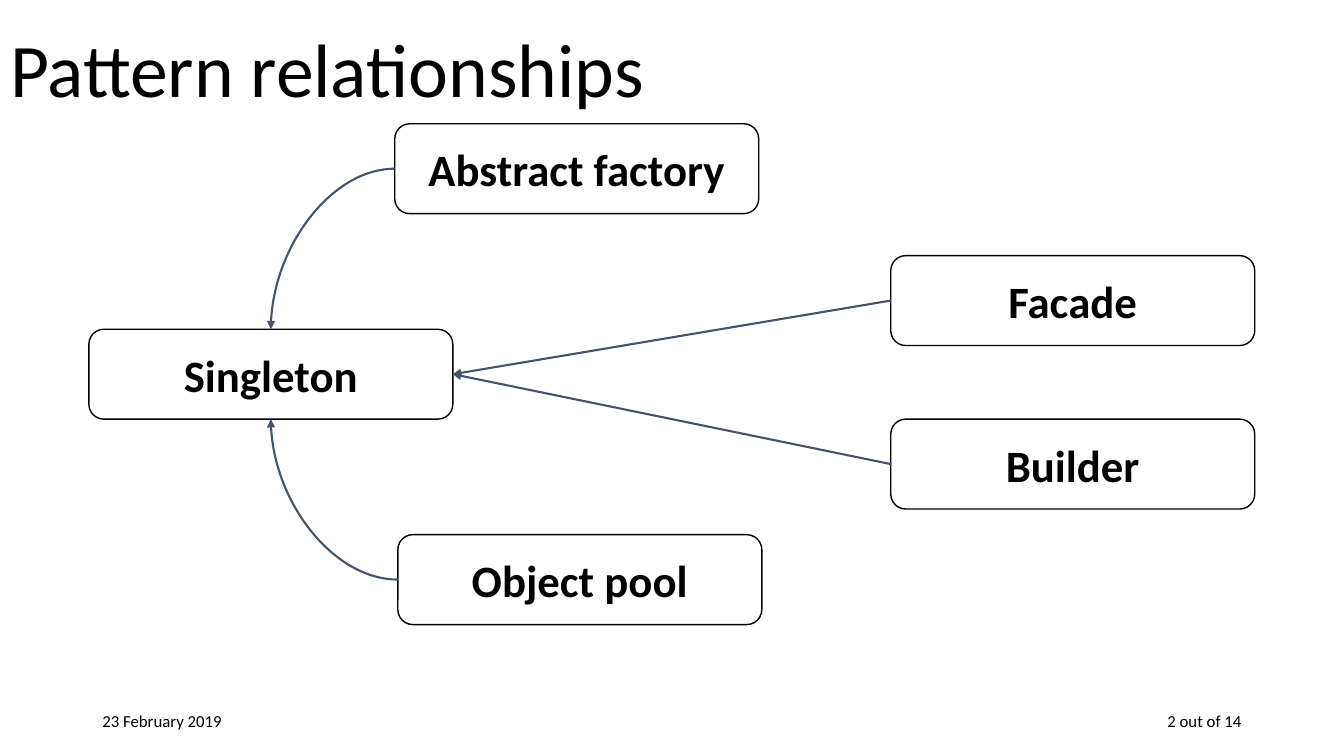
"""Build the slide that shows which patterns relate to Singleton."""
from dataclasses import dataclass

from lxml import etree
from pptx import Presentation
from pptx.dml.color import RGBColor
from pptx.enum.shapes import MSO_CONNECTOR, MSO_SHAPE
from pptx.enum.text import MSO_ANCHOR, MSO_AUTO_SIZE, PP_ALIGN
from pptx.oxml.ns import qn
from pptx.util import Pt

ROUNDED = MSO_SHAPE.ROUNDED_RECTANGLE
STRAIGHT, CURVE = MSO_CONNECTOR.STRAIGHT, MSO_CONNECTOR.CURVE
LEFT, CENTER, RIGHT = PP_ALIGN.LEFT, PP_ALIGN.CENTER, PP_ALIGN.RIGHT
MIDDLE = MSO_ANCHOR.MIDDLE
NO_FIT = MSO_AUTO_SIZE.NONE
TOP_SITE, LEFT_SITE, BOTTOM_SITE, RIGHT_SITE = range(4)


@dataclass(frozen=True)
class Theme:
    """Colours, type sizes and line widths."""
    font: str = "Calibri"
    ink: RGBColor = RGBColor(0, 0, 0)
    paper: RGBColor = RGBColor(255, 255, 255)
    arrow: RGBColor = RGBColor(0x44, 0x54, 0x6A)
    title: int = 54
    label: int = 32
    footer: int = 12
    box_line: float = 1
    arrow_line: float = 1.5


class SlideBuilder:
    """Add styled elements to one slide."""

    def __init__(self, s, theme):
        self.s = s
        self.theme = theme

    def set_text(self, sp, text, size, align, bold=False):
        tf = sp.text_frame
        frame = {"word_wrap": True, "auto_size": NO_FIT, "vertical_anchor": MIDDLE}
        for name, value in frame.items():
            setattr(tf, name, value)
        p = tf.paragraphs[0]
        p.alignment = align
        r = p.add_run()
        r.text = text
        font = {"name": self.theme.font, "size": Pt(size), "bold": bold}
        for name, value in font.items():
            setattr(r.font, name, value)
        r.font.color.rgb = self.theme.ink
        return p

    def title(self, text, left, top, width, height):
        sp = self.s.shapes.title
        place = {"left": left, "top": top, "width": width, "height": height}
        for name, value in place.items():
            setattr(sp, name, Pt(value))
        self.set_text(sp, text, self.theme.title, LEFT).line_spacing = 0.9

    def box(self, text, left, top, width=260, height=64.2):
        sp = self.s.shapes.add_shape(ROUNDED, Pt(left), Pt(top), Pt(width), Pt(height))
        sp.shadow.inherit = False
        sp.fill.solid()
        sp.fill.fore_color.rgb = self.theme.paper
        sp.line.color.rgb = self.theme.ink
        sp.line.width = Pt(self.theme.box_line)
        self.set_text(sp, text, self.theme.label, CENTER, bold=True)
        return sp

    def arrow(self, kind, source, target, target_site):
        cxn = self.s.shapes.add_connector(kind, 0, 0, 0, 0)
        cxn.begin_connect(source, LEFT_SITE)
        cxn.end_connect(target, target_site)
        cxn.line.color.rgb = self.theme.arrow
        cxn.line.width = Pt(self.theme.arrow_line)
        spPr = cxn.element.spPr
        if kind == CURVE:
            spPr.find(qn("a:prstGeom")).set("prst", "curvedConnector2")
        etree.SubElement(spPr.find(qn("a:ln")), qn("a:tailEnd"), type="triangle")
        etree.SubElement(spPr, qn("a:effectLst"))

    def footer(self, text, left, align):
        sp = self.s.shapes.add_textbox(Pt(left), Pt(500.4), Pt(216), Pt(28.8))
        self.set_text(sp, text, self.theme.footer, align)


def main():
    prs = Presentation()
    prs.slide_width, prs.slide_height = Pt(960), Pt(540)
    slide = SlideBuilder(prs.slides.add_slide(prs.slide_layouts[5]), Theme())

    slide.title("Pattern relationships", 0, 0, 828, 104.4)
    singleton = slide.box("Singleton", 63.5, 235.2)
    users = [
        ("Abstract factory", 282, 88.4, CURVE, TOP_SITE),
        ("Facade", 636.3, 182.6, STRAIGHT, RIGHT_SITE),
        ("Builder", 636.3, 299.4, STRAIGHT, RIGHT_SITE),
        ("Object pool", 284.2, 381.9, CURVE, BOTTOM_SITE),
    ]
    for text, left, top, kind, site in users:
        slide.arrow(kind, slide.box(text, left, top), singleton, site)

    slide.footer("23 February 2019", 66, LEFT)
    slide.footer("2 out of 14", 678, RIGHT)
    prs.save("out.pptx")


if __name__ == "__main__":
    main()
